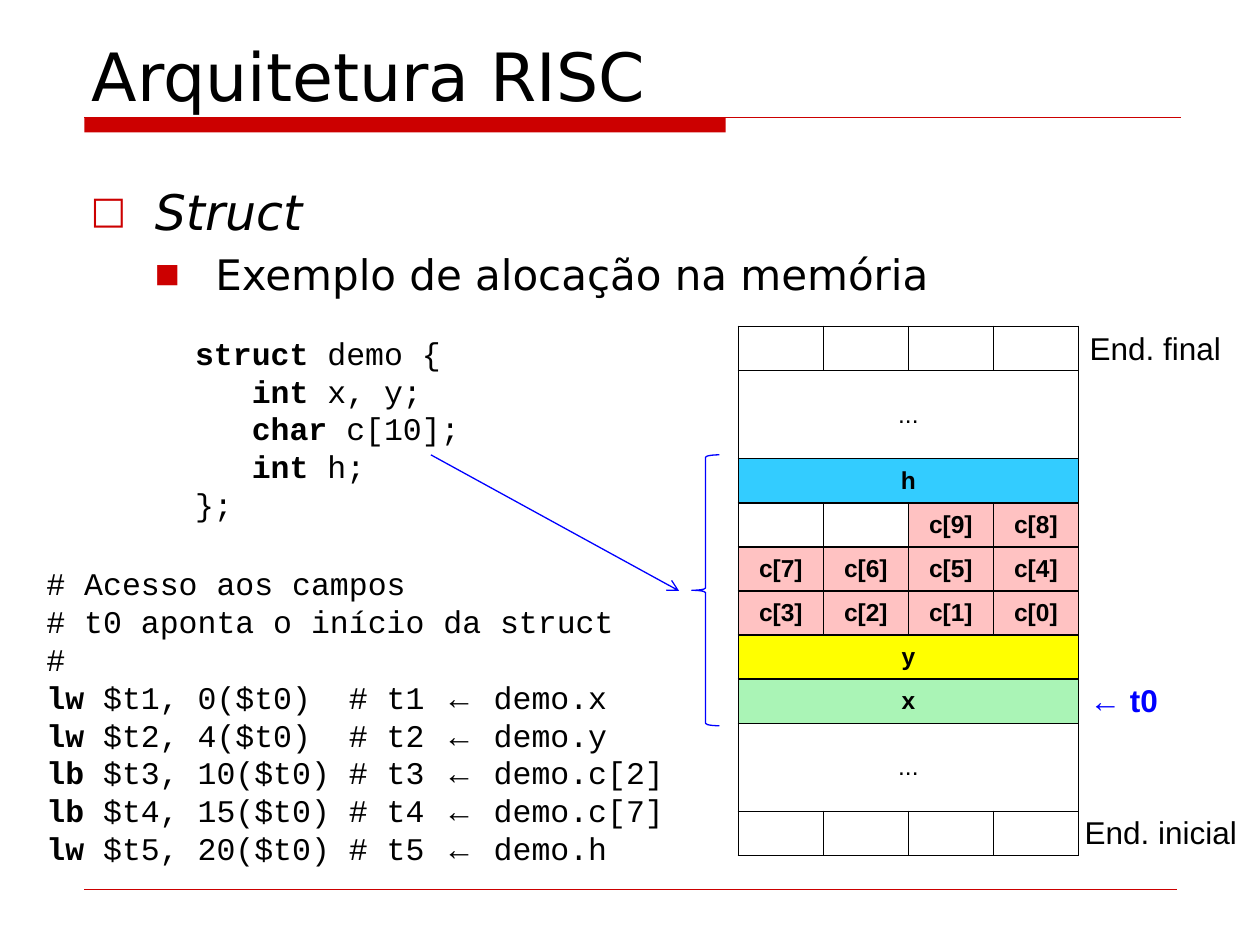
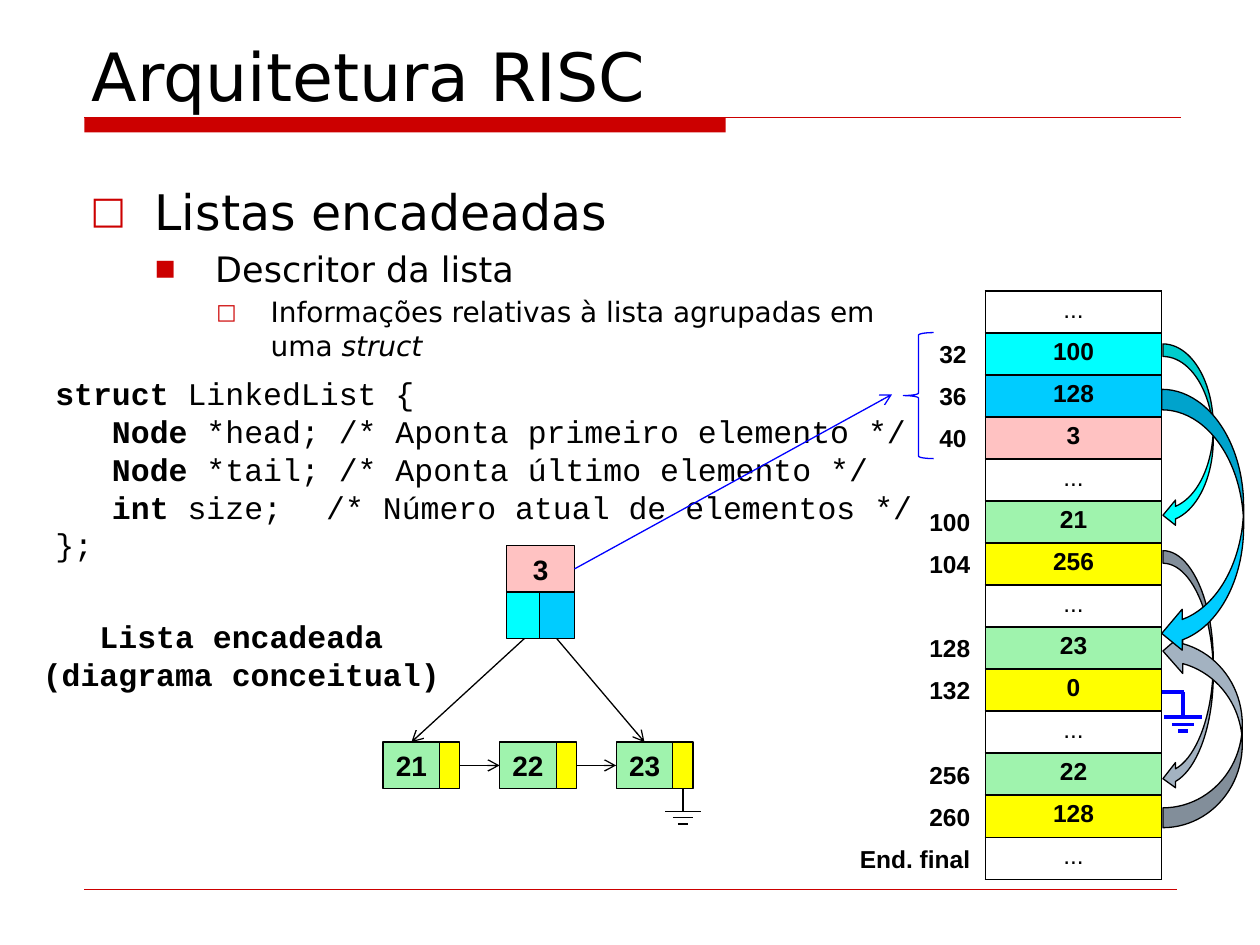
"""Build two slides on structs and linked lists in RISC memory."""
from dataclasses import dataclass
from typing import NamedTuple, Optional

import lxml.etree
import pptx
import pptx.dml.color
import pptx.enum.shapes
import pptx.enum.text
import pptx.oxml.ns
import pptx.util

Inches = pptx.util.Inches
Pt = pptx.util.Pt
Shape = pptx.enum.shapes.MSO_SHAPE
Align = pptx.enum.text.PP_ALIGN
Anchor = pptx.enum.text.MSO_ANCHOR
qn = pptx.oxml.ns.qn

HEADING, LABEL, CODE = "DejaVu Sans", "Arial", "Courier New"
BLACK, WHITE, RED, BLUE = "000000", "FFFFFF", "CC0000", "0000FF"
PINK, YELLOW, CYAN, SKY = "FFC2C2", "FFFF00", "00FFFF", "00CCFF"
GREEN, GRAY = "9FF3AD", "A3B2C1"
TABLE_TOP = 2.31
ROW_HEIGHT = 4.67 / 14


class Run(NamedTuple):
    """A stretch of text with its emphasis."""
    text: str
    bold: bool = False
    italic: bool = False
    font: Optional[str] = None


class Box(NamedTuple):
    """A place on the slide in inches."""
    left: float
    top: float
    width: float
    height: float


@dataclass
class Style:
    """The look of a block of text."""
    font: str = LABEL
    size: float = 14
    color: str = BLACK
    align: Align = Align.LEFT


@dataclass
class Bullet:
    """A line of the slide's outline."""
    level: int
    size: int
    runs: list


@dataclass
class MemoryRow:
    """A memory word with the address beside it."""
    text: str
    fill: str = WHITE
    address: str = ""
    left: float = 7.27
    width: float = 0.53


CODE_STYLE = Style(CODE, 18)
BULLET_LEVELS = [("□", 77, 0.51, -0.51), ("■", 63, 0.99, -0.48), ("□", 77, 1.43, -0.43)]


def rgb(value: str) -> pptx.dml.color.RGBColor:
    """Turn a hex string into a colour."""
    return pptx.dml.color.RGBColor.from_string(value)


def child(parent, tag: str, **attributes: str):
    """Add an XML child with attributes."""
    return lxml.etree.SubElement(parent, qn(tag), attributes)


def inches(box: Box) -> list:
    """Convert a box to lengths."""
    return [Inches(length) for length in box]


def add_runs(paragraph, runs: list, style: Style) -> None:
    """Write styled runs into a paragraph."""
    paragraph.alignment = style.align
    for part in runs:
        run = paragraph.add_run()
        run.text = part.text
        run.font.name = part.font or style.font
        run.font.size = Pt(style.size)
        run.font.bold, run.font.italic = part.bold, part.italic
        run.font.color.rgb = rgb(style.color)


def add_text(slide, box: Box, lines: list, style: Style, wrap: bool = False, tabs: tuple = ()):
    """Add a text box with one paragraph per line."""
    frame = slide.shapes.add_textbox(*inches(box)).text_frame
    frame.word_wrap = wrap
    for index, runs in enumerate(lines):
        paragraph = frame.add_paragraph() if index else frame.paragraphs[0]
        add_runs(paragraph, runs, style)
        if tabs:
            stops = child(paragraph._p.get_or_add_pPr(), "a:tabLst")
            for stop in tabs:
                child(stops, "a:tab", pos=str(Inches(stop)), algn="l")
    return frame


def add_shape(slide, kind: Shape, box: Box, fill: Optional[str], line: Optional[str] = BLACK, text: str = ""):
    """Add a preset shape, with a bold caption if given."""
    shape = slide.shapes.add_shape(kind, *inches(box))
    shape.shadow.inherit = False
    if fill:
        shape.fill.solid()
        shape.fill.fore_color.rgb = rgb(fill)
    else:
        shape.fill.background()
    if line:
        shape.line.color.rgb = rgb(line)
        shape.line.width = Pt(0.75)
    else:
        shape.line.fill.background()
    if text:
        shape.text_frame.word_wrap = False
        add_runs(shape.text_frame.paragraphs[0], [Run(text, True)], Style(size=16, align=Align.CENTER))
    return shape


def add_line(slide, start: tuple, end: tuple, color: str = BLACK, width: float = 0.75, arrow: bool = False,
             source: Optional[tuple] = None, target: Optional[tuple] = None) -> None:
    """Add a straight line, joined to (shape, side) pairs if given."""
    points = [Inches(length) for length in (*start, *end)]
    line = slide.shapes.add_connector(pptx.enum.shapes.MSO_CONNECTOR.STRAIGHT, *points)
    if source:
        line.begin_connect(*source)
    if target:
        line.end_connect(*target)
    line.line.color.rgb = rgb(color)
    line.line.width = Pt(width)
    properties = line._element.spPr
    if arrow:
        child(properties.find(qn("a:ln")), "a:tailEnd", type="arrow")
    child(properties, "a:effectLst")


def add_ground(slide, center: float, bars: list, color: str = BLACK, width: float = 0.75) -> None:
    """Draw the null-pointer bars, each given as height and half width."""
    for y, half in bars:
        add_line(slide, (center - half, y), (center + half, y), color, width)


def add_table(slide, box: Box, rows: int, columns: int):
    """Add a plain table with equal rows and columns."""
    table = slide.shapes.add_table(rows, columns, *inches(box)).table
    table.first_row = table.horz_banding = False
    for row in table.rows:
        row.height = Inches(box.height / rows)
    for column in table.columns:
        column.width = Inches(box.width / columns)
    return table


def fill_cell(cell, text: str, fill: str, anchor: Anchor) -> None:
    """Set a cell's borders, fill and text."""
    properties = cell._tc.get_or_add_tcPr()
    for side in "LRTB":
        border = child(properties, f"a:ln{side}", w=str(Pt(1)))
        child(child(border, "a:solidFill"), "a:srgbClr", val=BLACK)
    cell.fill.solid()
    cell.fill.fore_color.rgb = rgb(fill)
    cell.margin_top = cell.margin_bottom = Inches(0.02 if anchor == Anchor.MIDDLE else 0.04)
    cell.vertical_anchor = anchor
    if text:
        add_runs(cell.text_frame.paragraphs[0], [Run(text, text != "...")], Style(align=Align.CENTER))


def add_outline(slide, box: Box, bullets: list) -> None:
    """Add the bulleted outline."""
    frame = slide.shapes.add_textbox(*inches(box)).text_frame
    frame.word_wrap = True
    for index, bullet in enumerate(bullets):
        paragraph = frame.add_paragraph() if index else frame.paragraphs[0]
        add_runs(paragraph, bullet.runs, Style(HEADING, bullet.size))
        mark, percent, margin, indent = BULLET_LEVELS[bullet.level]
        properties = paragraph._p.get_or_add_pPr()
        properties.set("marL", str(Inches(margin)))
        properties.set("indent", str(Inches(indent)))
        child(child(properties, "a:spcBef"), "a:spcPct", val="20000")
        child(child(properties, "a:buClr"), "a:srgbClr", val=RED)
        child(properties, "a:buSzPct", val=str(percent * 1000))
        child(properties, "a:buFont", typeface=HEADING)
        child(properties, "a:buChar", char=mark)


def new_slide(deck):
    """Add a slide with the shared title, band and footer line."""
    slide = deck.slides.add_slide(deck.slide_layouts[6])
    add_shape(slide, Shape.RECTANGLE, Box(0.67, 0.93, 5.09, 0.12), RED, None)
    add_line(slide, (0.67, 0.93), (9.37, 0.93), RED)
    add_line(slide, (0.67, 7.06), (9.34, 7.06), RED, 0.25)
    title = add_text(slide, Box(0.63, 0.33, 8.75, 0.58), [[Run("Arquitetura RISC")]], Style(HEADING, 38), True)
    title.margin_top = title.margin_bottom = 0
    title.vertical_anchor = Anchor.BOTTOM
    return slide


def add_struct_memory(slide) -> None:
    """Draw the memory map of the demo struct."""
    words = [([""] * 4, 1), (["..."], 2), (["h"], 1), (["", "", "c[9]", "c[8]"], 1),
             (["c[7]", "c[6]", "c[5]", "c[4]"], 1), (["c[3]", "c[2]", "c[1]", "c[0]"], 1),
             (["y"], 1), (["x"], 1), (["..."], 2), ([""] * 4, 1)]
    fills = {"h": "33CCFF", "y": YELLOW, "x": "AAF4B6", "...": WHITE, "": WHITE}
    memory = add_table(slide, Box(5.86, 2.59, 2.7, 4.2), len(words), 4)
    for index, (fields, units) in enumerate(words):
        memory.rows[index].height = Inches(0.35 * units)
        if len(fields) == 1:
            memory.cell(index, 0).merge(memory.cell(index, 3))
        for column in range(4):
            field = fields[column] if column < len(fields) else ""
            fill_cell(memory.cell(index, column), field, fills.get(field, PINK), Anchor.MIDDLE)


def build_struct_slide(deck) -> None:
    """Show how a struct lies in memory."""
    slide = new_slide(deck)
    add_outline(slide, Box(0.62, 1.39, 9.25, 1.36), [
        Bullet(0, 28, [Run("Struct", italic=True)]),
        Bullet(1, 24, [Run("Exemplo de alocação na memória")])])
    fields = [("int", " x, y;"), ("char", " c[10];"), ("int", " h;")]
    declaration = [[Run("struct", True), Run(" demo {")],
                   *[[Run("\t"), Run(kind, True), Run(names)] for kind, names in fields], [Run("};")]]
    add_text(slide, Box(1.45, 2.6, 2.9, 1.62), declaration, CODE_STYLE, True, (0.45,))
    add_struct_memory(slide)
    for text, box, color in [("End. inicial", Box(8.51, 6.4, 1.42, 0.4), BLACK),
                             ("End. final", Box(8.55, 2.56, 1.25, 0.4), BLACK),
                             ("← t0", Box(8.55, 5.36, 0.75, 0.4), BLUE)]:
        add_text(slide, box, [[Run(text, color == BLUE)]], Style(size=18, color=color))
    add_shape(slide, Shape.LEFT_BRACE, Box(5.49, 3.61, 0.22, 2.15), None, BLUE)
    add_line(slide, (3.42, 3.61), (5.39, 4.69), BLUE, arrow=True)
    loads = [("lw", 0, "x"), ("lw", 4, "y"), ("lb", 10, "c[2]"), ("lb", 15, "c[7]"), ("lw", 20, "h")]
    access = [[Run(note)] for note in ("# Acesso aos campos", "# t0 aponta o início da struct", "#")]
    for number, (operation, offset, field) in enumerate(loads, 1):
        access.append([Run(operation, True), Run(f" $t{number}, {offset}($t0)\t# t{number} "),
                       Run("←", font=LABEL), Run(f" demo.{field}")])
    add_text(slide, Box(0.27, 4.43, 5.19, 2.52), access, CODE_STYLE, True, (2.4,))


def add_list_memory(slide) -> None:
    """Draw the list's memory words, addresses and pointers."""
    words = [MemoryRow("..."), MemoryRow("100", CYAN, "32", 7.35, 0.42), MemoryRow("128", SKY, "36", 7.35, 0.42),
             MemoryRow("3", PINK, "40", 7.35, 0.42), MemoryRow("..."), MemoryRow("21", GREEN, "100"),
             MemoryRow("256", YELLOW, "104"), MemoryRow("..."), MemoryRow("23", GREEN, "128"),
             MemoryRow("0", YELLOW, "132"), MemoryRow("..."), MemoryRow("22", GREEN, "256"),
             MemoryRow("128", YELLOW, "260"), MemoryRow("...", WHITE, "End. final", 6.72, 1.08)]
    memory = add_table(slide, Box(7.82, TABLE_TOP, 1.4, ROW_HEIGHT * len(words)), len(words), 1)
    for index, word in enumerate(words):
        fill_cell(memory.cell(index, 0), word.text, word.fill, Anchor.TOP)
        if word.address:
            place = Box(word.left, TABLE_TOP + index * ROW_HEIGHT, word.width, 0.34)
            add_text(slide, place, [[Run(word.address, True)]], Style(align=Align.RIGHT))
    for box, fill, upward in [(Box(9.23, 4.37, 0.4, 1.91), GRAY, False), (Box(9.23, 5.01, 0.63, 1.56), GRAY, True),
                              (Box(9.23, 2.73, 0.4, 1.46), CYAN, False), (Box(9.22, 3.09, 0.65, 2.1), SKY, False)]:
        pointer = add_shape(slide, Shape.CURVED_LEFT_ARROW, box, fill)
        if upward:
            pointer._element.spPr.find(qn("a:xfrm")).set("flipV", "1")
    add_line(slide, (9.4, 5.49), (9.22, 5.49), BLUE, 2.25)
    add_line(slide, (9.39, 5.49), (9.39, 5.69), BLUE, 2.25)
    add_ground(slide, 9.39, [(5.69, 0.15), (5.75, 0.09), (5.8, 0.04)], BLUE, 2.25)


def add_list_diagram(slide) -> None:
    """Draw the list descriptor and its chained nodes."""
    values, links = [], []
    for index, value in enumerate(("21", "22", "23")):
        left = 3.04 + index * (4.89 - 3.04) / 2
        values.append(add_shape(slide, Shape.RECTANGLE, Box(left, 5.89, 0.45, 0.37), GREEN, text=value))
        links.append(add_shape(slide, Shape.RECTANGLE, Box(left + 0.45, 5.89, 0.16, 0.37), YELLOW))
    size = add_shape(slide, Shape.RECTANGLE, Box(4.02, 4.33, 0.54, 0.37), PINK, text="3")
    head = add_shape(slide, Shape.RECTANGLE, Box(4.02, 4.7, 0.28, 0.37), CYAN)
    tail = add_shape(slide, Shape.RECTANGLE, Box(4.28, 4.7, 0.28, 0.37), SKY)
    for link, following in zip(links, values[1:]):
        add_line(slide, (0, 0), (0, 0), arrow=True, source=(link, 3), target=(following, 1))
    for pointer, node in ((head, values[0]), (tail, values[-1])):
        add_line(slide, (0, 0), (0, 0), arrow=True, source=(pointer, 2), target=(node, 0))
    add_line(slide, (5.42, 6.26), (5.42, 6.44), source=(links[-1], 2))
    add_ground(slide, 5.42, [(6.44, 0.14), (6.49, 0.08), (6.54, 0.04)])
    add_shape(slide, Shape.LEFT_BRACE, Box(7.17, 2.64, 0.24, 1), None, BLUE)
    add_line(slide, (4.56, 4.51), (7.08, 3.13), BLUE, arrow=True, source=(size, 3))


def build_list_slide(deck) -> None:
    """Show a linked list's descriptor and layout."""
    slide = new_slide(deck)
    fields = [("Node", " *head; /* Aponta primeiro elemento */"), ("Node", " *tail; /* Aponta último elemento */"),
              ("int", " size;\t/* Número atual de elementos */")]
    declaration = [[Run("struct ", True), Run("LinkedList {")],
                   *[[Run("\t"), Run(kind, True), Run(rest)] for kind, rest in fields], [Run("};")]]
    add_text(slide, Box(0.34, 2.92, 7.01, 1.62), declaration, CODE_STYLE, True, (0.45, 2.15))
    add_list_memory(slide)
    add_list_diagram(slide)
    caption = [[Run("Lista encadeada", True)], [Run("(diagrama conceitual)", True)]]
    add_text(slide, Box(0.23, 4.85, 3.37, 0.71), caption, Style(CODE, 18, align=Align.CENTER))
    add_outline(slide, Box(0.62, 1.39, 6.66, 1.42), [
        Bullet(0, 28, [Run("Listas encadeadas")]),
        Bullet(1, 20, [Run("Descritor da lista")]),
        Bullet(2, 16, [Run("Informações relativas à lista agrupadas em uma "), Run("struct", italic=True)])])


def main() -> None:
    """Build and save the deck."""
    deck = pptx.Presentation()
    deck.slide_width, deck.slide_height = Inches(10), Inches(7.5)
    build_struct_slide(deck)
    build_list_slide(deck)
    deck.save("out.pptx")


if __name__ == "__main__":
    main()
